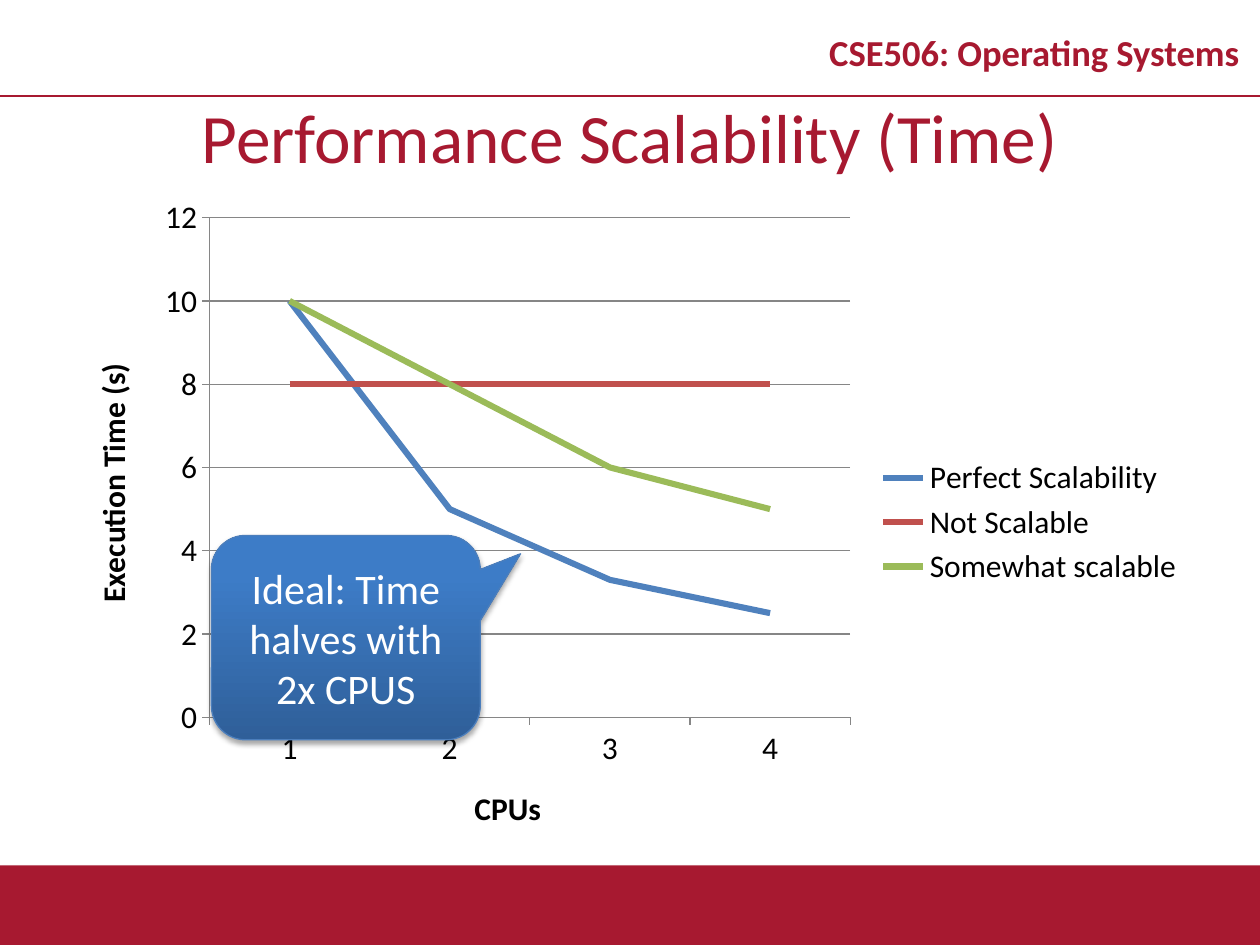
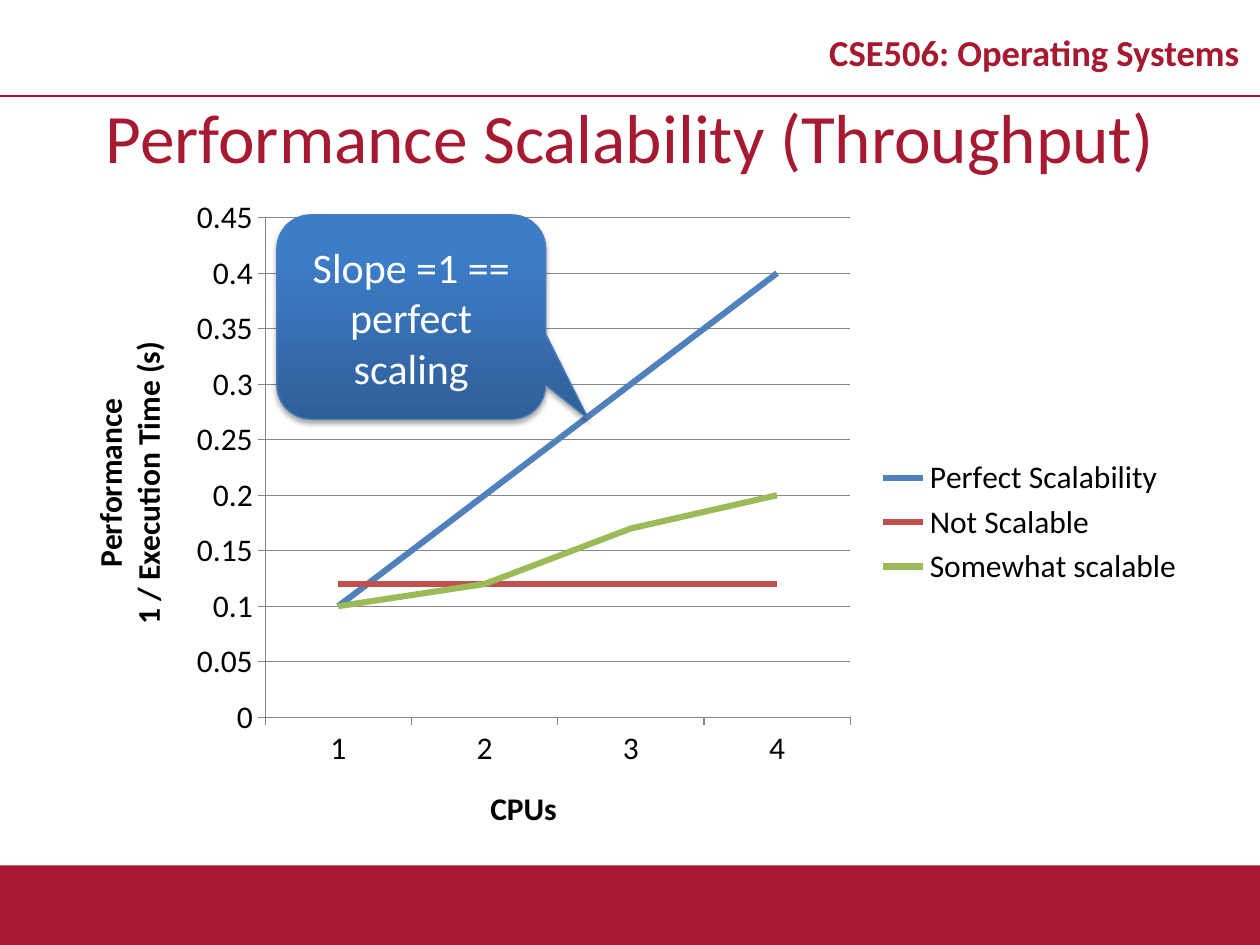
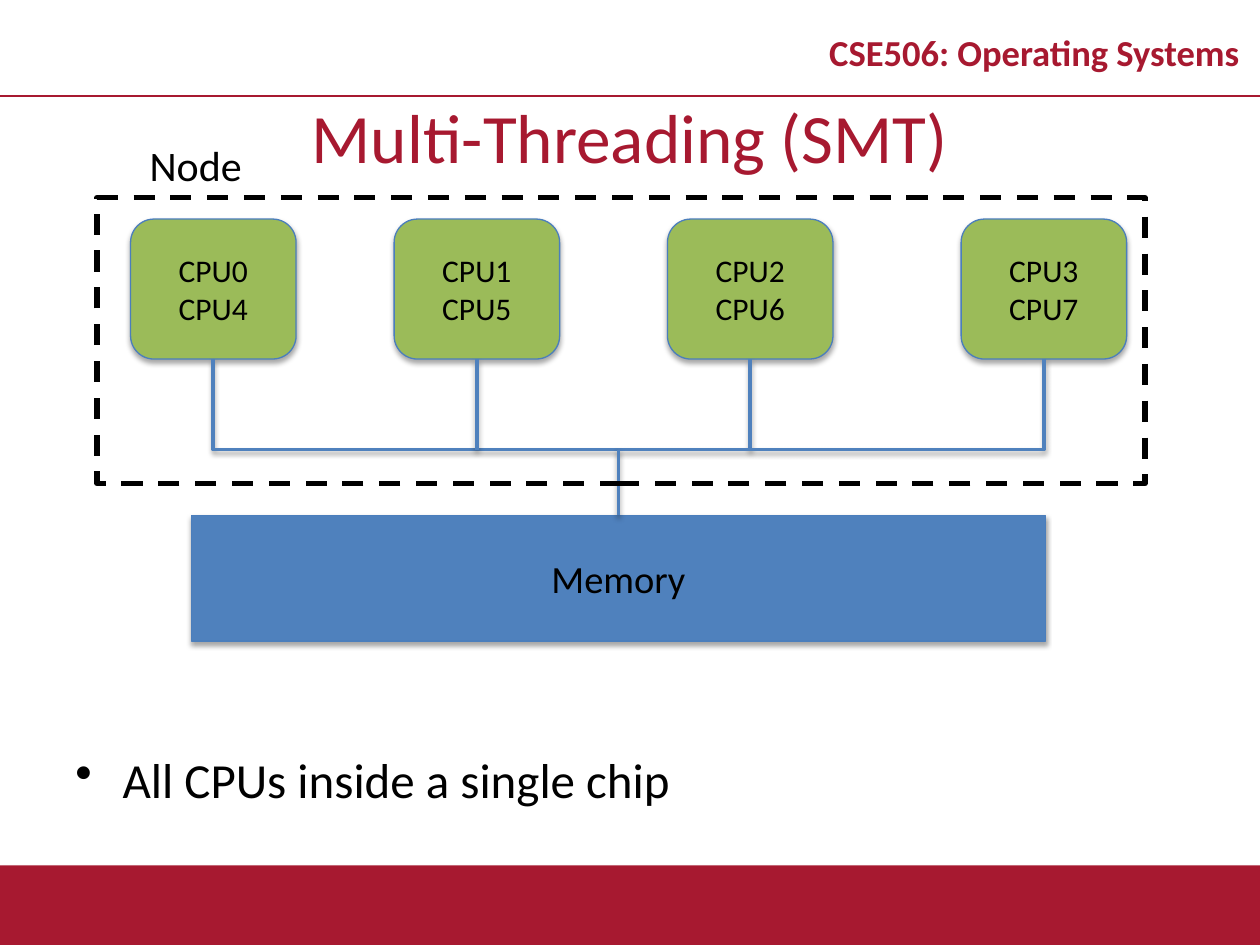
from pptx import Presentation
from pptx.chart.data import CategoryChartData
from pptx.dml.color import RGBColor
from pptx.enum.chart import XL_CHART_TYPE, XL_LEGEND_POSITION, XL_TICK_MARK
from pptx.enum.dml import MSO_LINE
from pptx.enum.shapes import MSO_CONNECTOR, MSO_SHAPE
from pptx.enum.text import MSO_ANCHOR, PP_ALIGN
from pptx.oxml import parse_xml
from pptx.oxml.ns import nsdecls, qn
from pptx.util import Pt

CRIMSON = RGBColor(0xA7, 0x19, 0x30)
BLACK = RGBColor(0, 0, 0)
WHITE = RGBColor(0xFF, 0xFF, 0xFF)
BLUE = RGBColor(0x4F, 0x81, 0xBD)
RED = RGBColor(0xC0, 0x50, 0x4D)
GREEN = RGBColor(0x9B, 0xBB, 0x59)
OUTLINE = RGBColor(0x4B, 0x7E, 0xBC)
GRID = RGBColor(0x86, 0x86, 0x86)
DEEP_BLUE = RGBColor(0x2F, 0x5F, 0x99)
BRIGHT_BLUE = RGBColor(0x3D, 0x7C, 0xC7)

LEFT, CENTER = PP_ALIGN.LEFT, PP_ALIGN.CENTER
MIDDLE = MSO_ANCHOR.MIDDLE
STRAIGHT, ELBOW = MSO_CONNECTOR.STRAIGHT, MSO_CONNECTOR.ELBOW
RECTANGLE, ROUNDED = MSO_SHAPE.RECTANGLE, MSO_SHAPE.ROUNDED_RECTANGLE
CALLOUT = MSO_SHAPE.ROUNDED_RECTANGULAR_CALLOUT
OUTSIDE, NO_TICK = XL_TICK_MARK.OUTSIDE, XL_TICK_MARK.NONE
LINE_CHART, LEGEND_RIGHT = XL_CHART_TYPE.LINE, XL_LEGEND_POSITION.RIGHT
DASH = MSO_LINE.DASH
TOP_SITE, BOTTOM_SITE = 0, 2

FONT = "Calibri"
PAGE_WIDTH, PAGE_HEIGHT = 720, 540
HEADER_BOTTOM, BAND_HEIGHT = 54.7, 45.4
CONTENT = (36, 105.8, 648, 385.2)
CPUS = ["1", "2", "3", "4"]
SERIES_COLORS = {
    "Perfect Scalability": BLUE,
    "Not Scalable": RED,
    "Somewhat scalable": GREEN,
}


def points(*lengths):
    return [Pt(length) for length in lengths]


def format_font(font, size, color, bold=False):
    font.name = FONT
    font.size = Pt(size)
    font.bold = bold
    font.color.rgb = color


def write(frame, text, size=18, color=BLACK, bold=False, align=CENTER,
          anchor=MIDDLE, wrap=True, spacing=None, bullet_indent=None):
    frame.word_wrap = wrap
    frame.vertical_anchor = anchor
    for number, line in enumerate(text.split("\n")):
        para = frame.add_paragraph() if number else frame.paragraphs[0]
        para.alignment = align
        if spacing:
            para.line_spacing = spacing
        if bullet_indent:
            properties = para._p.get_or_add_pPr()
            properties.set("marL", str(Pt(bullet_indent)))
            properties.set("indent", str(-Pt(bullet_indent)))
            properties.append(parse_xml(f'<a:buChar {nsdecls("a")} char="•"/>'))
        span = para.add_run()
        span.text = line
        format_font(span.font, size, color, bold)


def add_text(page, box, text, **style):
    write(page.shapes.add_textbox(*points(*box)).text_frame, text, **style)


def set_effects(item, shadow):
    effects = parse_xml(f'<a:effectLst {nsdecls("a")}/>')
    if shadow:
        effects.append(parse_xml(
            f'<a:outerShdw {nsdecls("a")} blurRad="{Pt(3.1)}" dist="{Pt(1.8)}" '
            'dir="5400000" rotWithShape="0"><a:srgbClr val="000000">'
            '<a:alpha val="35000"/></a:srgbClr></a:outerShdw>'))
    item._element.spPr.append(effects)


def add_block(page, kind, box, fill=None, line=OUTLINE, width=0.75, shadow=True):
    block = page.shapes.add_shape(kind, *points(*box))
    if fill is None:
        block.fill.background()
    else:
        block.fill.solid()
        block.fill.fore_color.rgb = fill
    if line is None:
        block.line.fill.background()
    else:
        block.line.color.rgb = line
        block.line.width = Pt(width)
    set_effects(block, shadow)
    return block


def add_line(page, start, end, color=BLUE, width=2, kind=STRAIGHT, shadow=True):
    line = page.shapes.add_connector(kind, *points(*start, *end))
    if kind == ELBOW:
        line._element.spPr.find(qn("a:prstGeom")).set("prst", "bentConnector2")
    line.line.color.rgb = color
    line.line.width = Pt(width)
    set_effects(line, shadow)
    return line


def add_page(deck, title):
    page = deck.slides.add_slide(deck.slide_layouts[6])
    add_block(page, RECTANGLE,
              (0, PAGE_HEIGHT - BAND_HEIGHT, PAGE_WIDTH, BAND_HEIGHT),
              fill=CRIMSON, line=None)
    add_line(page, (0, HEADER_BOTTOM), (PAGE_WIDTH, HEADER_BOTTOM),
             color=CRIMSON, width=1, shadow=False)
    add_text(page, (462.2, HEADER_BOTTOM - BAND_HEIGHT, 257.8, BAND_HEIGHT),
             "CSE506: Operating Systems", size=20.9, color=CRIMSON, bold=True,
             spacing=0.8)
    add_text(page, (0, HEADER_BOTTOM, PAGE_WIDTH, BAND_HEIGHT), title,
             size=39.6, color=CRIMSON)
    return page


def add_scaling_chart(page, box, value_title, rows):
    data = CategoryChartData()
    data.categories = CPUS
    for name, values in zip(SERIES_COLORS, rows):
        data.add_series(name, values)
    chart = page.shapes.add_chart(LINE_CHART, *points(*box), data).chart
    format_font(chart.font, 18, BLACK)
    chart.has_title = False
    chart.has_legend = True
    chart.legend.position = LEGEND_RIGHT
    chart.legend.include_in_layout = False
    chart.plots[0].vary_by_categories = False
    for series, color in zip(chart.plots[0].series, SERIES_COLORS.values()):
        series.smooth = False
        series.format.line.color.rgb = color
        series.format.line.width = Pt(3.5)
    axes = ((chart.category_axis, "CPUs"), (chart.value_axis, value_title))
    for axis, title in axes:
        write(axis.axis_title.text_frame, title, bold=True)
        axis.major_tick_mark = OUTSIDE
        axis.minor_tick_mark = NO_TICK
        axis.format.line.color.rgb = GRID
        axis.format.line.width = Pt(0.75)
    gridlines = chart.value_axis.major_gridlines.format.line
    gridlines.color.rgb = GRID
    gridlines.width = Pt(0.75)


def add_callout(page, left, top, text, pointer):
    callout = add_block(page, CALLOUT, (left, top, 153.6, 116.8), fill=BRIGHT_BLUE)
    callout.adjustments[0], callout.adjustments[1] = pointer
    callout.fill.gradient()
    callout.fill.gradient_angle = 90
    dark, light = callout.fill.gradient_stops
    dark.color.rgb, dark.position = DEEP_BLUE, 0
    light.color.rgb, light.position = BRIGHT_BLUE, 0.8
    write(callout.text_frame, text, size=24, color=WHITE)


def add_node_diagram(page, left, top):
    core_top, core_width, core_height = top + 12.2, 94.6, 80
    bus_y = top + 144
    memory = add_block(page, RECTANGLE, (left + 54, top + 181.4, 488, 72), fill=BLUE)
    write(memory.text_frame, "Memory", size=22)
    bus_x = left + 54 + 488 / 2

    for number, offset in enumerate((19.2, 169.8, 326, 493.8)):
        core_left = left + offset
        core = add_block(page, ROUNDED,
                         (core_left, core_top, core_width, core_height), fill=GREEN)
        write(core.text_frame, f"CPU{number}\nCPU{number + 4}")
        center = core_left + core_width / 2
        core_bottom = (center, core_top + core_height)
        if number in (0, 3):
            add_line(page, (bus_x, bus_y), core_bottom, kind=ELBOW)
        else:
            wire = add_line(page, core_bottom, (center, bus_y))
            wire.begin_connect(core, BOTTOM_SITE)

    stem = add_line(page, (bus_x, top + 181.4), (bus_x, bus_y))
    stem.begin_connect(memory, TOP_SITE)
    frame = add_block(page, RECTANGLE, (left, top, 599, 163.4),
                      line=BLACK, width=3, shadow=False)
    frame.line.dash_style = DASH
    add_text(page, (left + 23, top - 36.7, 71.3, 36), "Node", size=24,
             align=LEFT, anchor=MSO_ANCHOR.TOP, wrap=False)


def main():
    deck = Presentation()
    deck.slide_width, deck.slide_height = points(PAGE_WIDTH, PAGE_HEIGHT)

    page = add_page(deck, "Performance Scalability (Time)")
    add_scaling_chart(page, CONTENT, "Execution Time (s)",
                      [(10, 5, 3.3, 2.5), (8, 8, 8, 8), (10, 8, 6, 5)])
    add_callout(page, 120.8, 306, "Ideal: Time halves with 2x CPUS", (0.65, -0.41))

    page = add_page(deck, "Performance Scalability (Throughput)")
    add_scaling_chart(page, CONTENT, "Performance\n1 / Execution Time (s)",
                      [(0.1, 0.2, 0.3, 0.4), (0.12, 0.12, 0.12, 0.12),
                       (0.1, 0.12, 0.17, 0.2)])
    add_callout(page, 158.2, 122.8, "Slope =1 == perfect scaling", (0.66, 0.5))

    page = add_page(deck, "Multi-Threading (SMT)")
    add_text(page, (36, 424, 648, 42), "All CPUs inside a single chip", size=28,
             align=LEFT, bullet_indent=27)
    add_node_diagram(page, 55.4, 113)

    deck.save("out.pptx")


if __name__ == "__main__":
    main()
